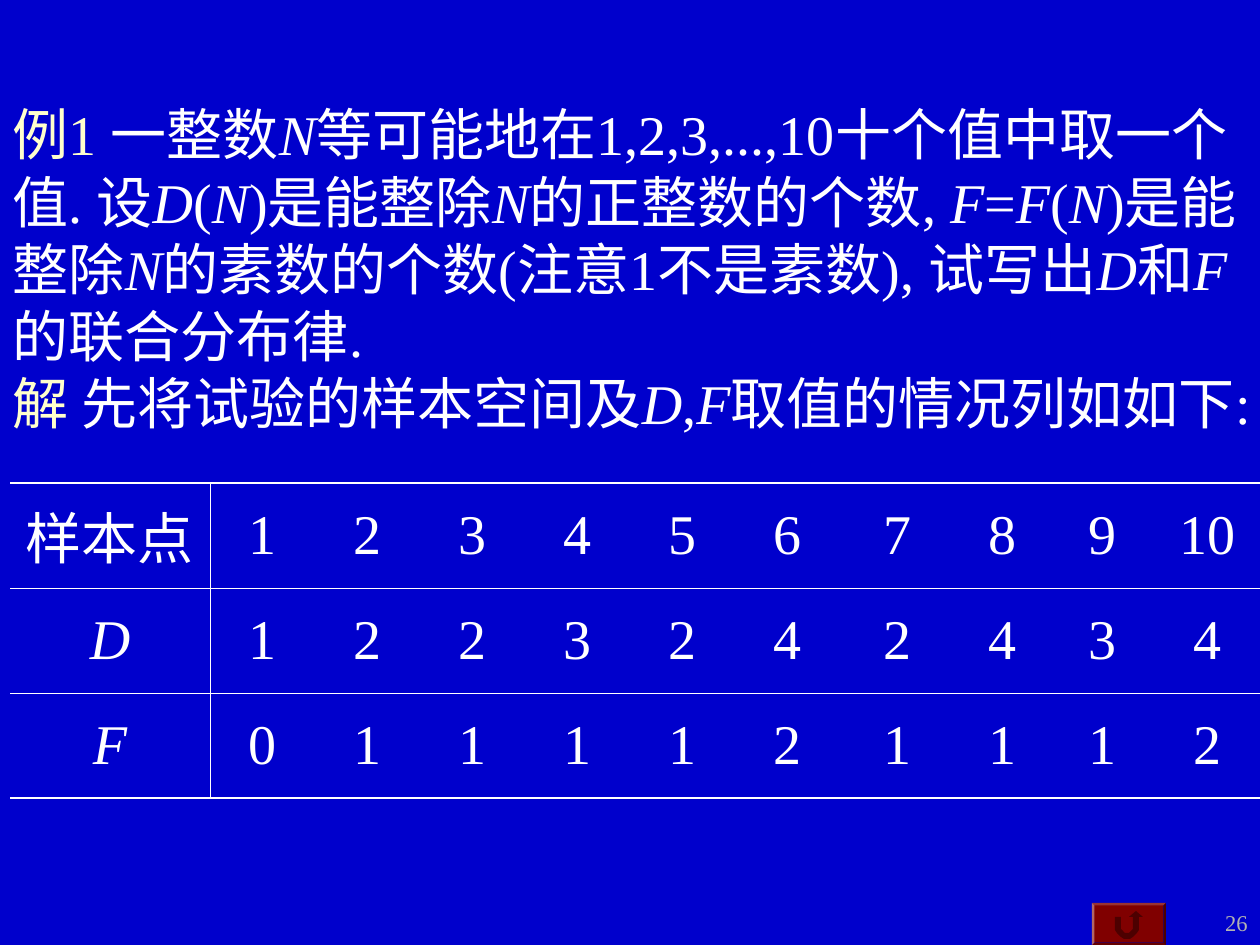
from dataclasses import dataclass
from math import cos, pi, sin

from lxml.etree import SubElement
from pptx import Presentation
from pptx.dml.color import RGBColor as RGB
from pptx.enum.shapes import MSO_SHAPE as Shape
from pptx.enum.text import MSO_ANCHOR as Anchor, MSO_AUTO_SIZE as Auto, PP_ALIGN as Align
from pptx.oxml.ns import qn
from pptx.util import Pt

SCALE = 914400 / 126  # EMU per px


@dataclass(frozen=True)
class Theme:
    font: str = "Times New Roman"
    back: str = "0000CC"
    text: str = "FFFFFF"
    lead: str = "FFFFCC"
    page: str = "B2B2B2"
    button: str = "800000"
    arrow: str = "4D0000"
    size: float = 32
    small: float = 12.9
    thick: float = 1.08
    thin: float = 0.45


THEME = Theme()

LINES = [
    ("例1 ", "一整数*N*等可能地在1,2,3,...,10十个值中取一个值. "
     "设*D*(*N*)是能整除*N*的正整数的个数, *F*=*F*(*N*)是能整除*N*的素数的个数"
     "(注意1不是素数), 试写出*D*和*F*的联合分布律."),
    ("解", " 先将试验的样本空间及*D*,*F*取值的情况列如如下:"),
]
ROWS = [
    ["样本点", *range(1, 11)],
    ["*D*", 1, 2, 2, 3, 2, 4, 2, 4, 3, 4],
    ["*F*", 0, 1, 1, 1, 1, 2, 1, 1, 1, 2],
]
COLS = [200] + [105] * 6 + [115, 95] + [105] * 2
ROW = 105


def px(*vals):
    return [round(v * SCALE) for v in vals]


def write(par, text, size=THEME.size, color=THEME.text, align=Align.LEFT, before=0):
    """Add text to a paragraph; parts between asterisks are italic."""
    par.alignment = align
    par.space_before = Pt(before)
    for i, part in enumerate(text.split("*")):
        if part:
            run = par.add_run()
            run.text = part
            font = run.font
            font.name, font.size, font.bold = THEME.font, Pt(size), False
            font.italic = i % 2 == 1
            font.color.rgb = RGB.from_string(color)


def paint(shape, color):
    shape.shadow.inherit = False
    shape.fill.solid()
    shape.fill.fore_color.rgb = RGB.from_string(color)
    shape.line.fill.background()


def arc(x, y, r, start, end, steps=12):
    turns = (start + (end - start) * i / steps for i in range(steps + 1))
    return [(round(x + r * cos(t), 2), round(y + r * sin(t), 2)) for t in turns]


def add_button(shapes):
    """Bevelled return button with a hooked arrow."""
    button = shapes.add_shape(Shape.BEVEL, *px(1092, 903, 74, 42))
    button.adjustments[0] = 0.06
    paint(button, THEME.button)
    x, y, top = 1127, 927, 917
    hook = [(x - 6, top), *arc(x, y, 6, pi, 0), (x + 6, top), (x + 2, top),
            (x + 9, 911), (x + 16, top), (x + 12, top), *arc(x, y, 12, 0, pi)]
    pen = shapes.build_freeform(x - 12, top, scale=SCALE)
    pen.add_line_segments(hook, close=True)
    paint(pen.convert_to_shape(), THEME.arrow)


def add_page(shapes, text):
    frame = shapes.add_textbox(*px(1176, 903, 84, 42)).text_frame
    frame.word_wrap = True
    write(frame.paragraphs[0], text, size=THEME.small, color=THEME.page, align=Align.RIGHT)


def set_title(title):
    title.left, title.top, title.width, title.height = px(0, 63, 1260, 410)
    frame = title.text_frame
    frame.word_wrap, frame.auto_size = True, Auto.NONE
    frame.vertical_anchor = Anchor.MIDDLE
    par = frame.paragraphs[0]
    for i, (lead, text) in enumerate(LINES):
        if i:
            par.add_line_break()
        write(par, lead, color=THEME.lead)
        write(par, text)


def rule(cell, **sides):
    """Set the border widths of a cell in points; 0 means no line."""
    props = cell._tc.get_or_add_tcPr()
    for side in "LRTB":
        width = sides.get(side, 0)
        line = SubElement(props, qn(f"a:ln{side}"), w=str(Pt(width)))
        if width:
            fill = SubElement(line, qn("a:solidFill"))
            SubElement(fill, qn("a:srgbClr"), val=THEME.text)
        else:
            SubElement(line, qn("a:noFill"))


def add_grid(shapes):
    rows, cols = len(ROWS), len(COLS)
    box = px(10, 483, sum(COLS), ROW * rows)
    table = shapes.add_table(rows, cols, *box).table
    table.first_row = table.horz_banding = False
    for col, width in zip(table.columns, px(*COLS)):
        col.width = width
    for r, vals in enumerate(ROWS):
        table.rows[r].height = px(ROW)[0]
        for c, val in enumerate(vals):
            cell = table.cell(r, c)
            rule(cell,
                 L=THEME.thin if c == 1 else 0,
                 R=THEME.thin if c == 0 else 0,
                 T=THEME.thin if r else THEME.thick,
                 B=THEME.thin if r < rows - 1 else THEME.thick)
            cell.fill.background()
            cell.vertical_anchor = Anchor.MIDDLE
            write(cell.text_frame.paragraphs[0], str(val), align=Align.CENTER, before=8)


def main():
    deck = Presentation()
    deck.slide_width, deck.slide_height = px(1260, 945)
    slide = deck.slides.add_slide(deck.slide_layouts[5])
    back = slide.background.fill
    back.solid()
    back.fore_color.rgb = RGB.from_string(THEME.back)
    set_title(slide.shapes.title)
    add_button(slide.shapes)
    add_page(slide.shapes, "26")
    add_grid(slide.shapes)
    deck.save("out.pptx")


if __name__ == "__main__":
    main()
